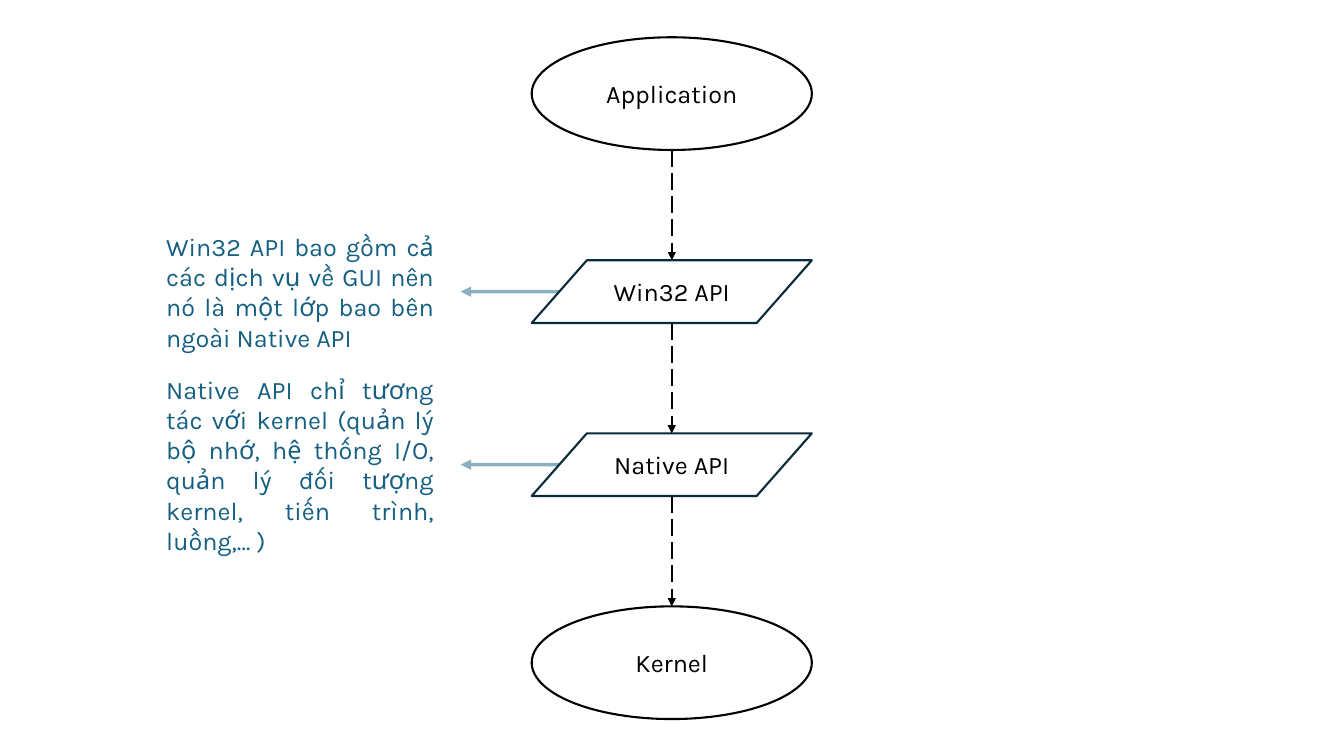
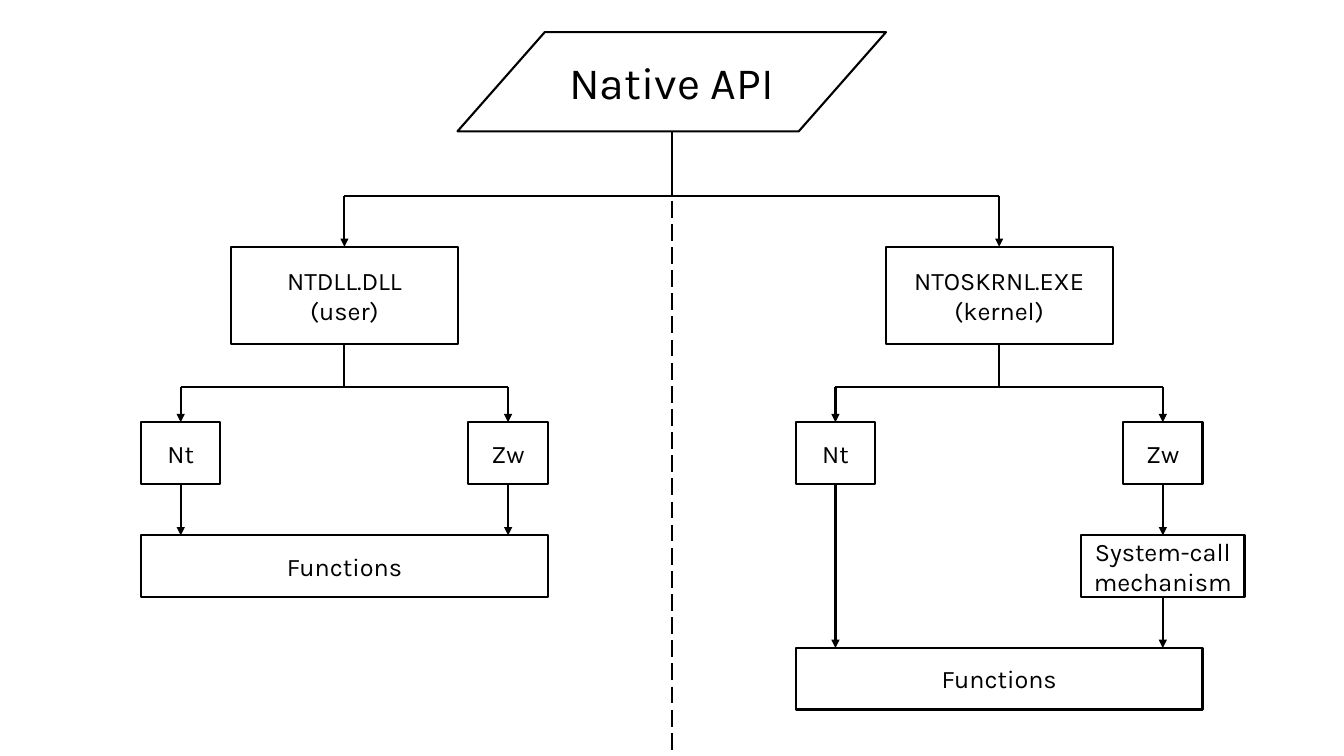
"""Draw two diagrams of the API layers between an application and the kernel."""
from dataclasses import dataclass
from itertools import pairwise
from typing import Optional

from lxml.etree import SubElement
from pptx import Presentation
from pptx.dml.color import RGBColor
from pptx.enum.dml import MSO_LINE_DASH_STYLE as Dash
from pptx.enum.shapes import MSO_CONNECTOR as Connector, MSO_SHAPE as Preset
from pptx.enum.text import MSO_ANCHOR as Anchor, MSO_AUTO_SIZE as AutoSize, PP_ALIGN as Align
from pptx.oxml.ns import qn
from pptx.slide import Slide
from pptx.text.text import TextFrame
from pptx.util import Cm, Pt


@dataclass(frozen=True)
class Theme:
    font: str = "Karla"
    ink: RGBColor = RGBColor(0x00, 0x00, 0x00)
    paper: RGBColor = RGBColor(0xFF, 0xFF, 0xFF)
    navy: RGBColor = RGBColor(0x09, 0x2A, 0x39)
    accent: RGBColor = RGBColor(0x15, 0x60, 0x82)
    body_size: float = 18
    title_size: float = 32
    line: float = 1.5
    note_line: float = 2.5
    note_opacity: int = 50000
    slant: float = 0.88


@dataclass(frozen=True)
class Node:
    text: str
    centre: float
    top: float
    width: float
    height: float
    preset: Preset = Preset.RECTANGLE
    outline: Optional[RGBColor] = None
    size: Optional[float] = None

    @property
    def bottom(self) -> float:
        return self.top + self.height

    @property
    def middle(self) -> float:
        return self.top + self.height / 2


@dataclass(frozen=True)
class Layer:
    text: str
    preset: Preset
    height: float
    outline: RGBColor
    note: str = ""
    note_height: float = 0


@dataclass(frozen=True)
class Branch:
    text: str
    centre: float
    functions_top: float


THEME = Theme()
PAGE_WIDTH, PAGE_HEIGHT = 33.87, 19.05
CENTRE = 16.93

LAYERS = (
    Layer("Application", Preset.OVAL, 2.84, THEME.ink),
    Layer("Win32 API", Preset.PARALLELOGRAM, 1.58, THEME.navy,
          "Win32 API bao gồm cả các dịch vụ về GUI nên nó là một lớp bao bên ngoài Native API", 3.33),
    Layer("Native API", Preset.PARALLELOGRAM, 1.58, THEME.navy,
          "Native API chỉ tương tác với kernel (quản lý bộ nhớ, hệ thống I/O, "
          "quản lý đối tượng kernel, tiến trình, luồng,… )", 4.11),
    Layer("Kernel", Preset.OVAL, 2.84, THEME.ink),
)
LAYER_TOP, LAYER_GAP, LAYER_WIDTH = 0.94, 2.78, 7.06
NOTE_LEFT, NOTE_WIDTH = 3.94, 7.24
NOTE_ARROW = (14.35, 11.61)

BRANCH_OFFSET = 8.25
PREFIX_OFFSET = BRANCH_OFFSET / 2
PREFIX_WIDTH, ROW_HEIGHT = 2.0, 1.55
PREFIX_TOP, FIRST_ROW, SECOND_ROW = 10.64, 13.49, 16.33
BRANCHES = (
    Branch("NTDLL.DLL\n(user)", CENTRE - BRANCH_OFFSET, FIRST_ROW),
    Branch("NTOSKRNL.EXE\n(kernel)", CENTRE + BRANCH_OFFSET, SECOND_ROW),
)


def write(frame: TextFrame, text: str, align: Align, color: RGBColor, size: float) -> None:
    frame.word_wrap = True
    frame.vertical_anchor = Anchor.MIDDLE
    for index, words in enumerate(text.split("\n")):
        para = frame.add_paragraph() if index else frame.paragraphs[0]
        para.text = words
        para.alignment = align
        para.font.name = THEME.font
        para.font.size = Pt(size)
        para.font.color.rgb = color


def draw_node(page: Slide, node: Node) -> None:
    box = page.shapes.add_shape(node.preset, Cm(node.centre - node.width / 2), Cm(node.top),
                                Cm(node.width), Cm(node.height))
    box.shadow.inherit = False
    box.fill.solid()
    box.fill.fore_color.rgb = THEME.paper
    box.line.color.rgb = node.outline or THEME.ink
    box.line.width = Pt(THEME.line)
    if node.preset == Preset.PARALLELOGRAM:
        box.adjustments[0] = THEME.slant
    write(box.text_frame, node.text, Align.CENTER, THEME.ink, node.size or THEME.body_size)


def draw_line(page: Slide, start: tuple[float, float], end: tuple[float, float], *,
              arrow: bool = False, dashed: bool = False, faded: bool = False) -> None:
    link = page.shapes.add_connector(Connector.STRAIGHT, *map(Cm, start + end))
    link.line.color.rgb = THEME.accent if faded else THEME.ink
    link.line.width = Pt(THEME.note_line if faded else THEME.line)
    if dashed:
        link.line.dash_style = Dash.LONG_DASH
    properties = link.element.spPr
    outline = properties.find(qn("a:ln"))
    if faded:
        color = outline.find(f".//{qn('a:srgbClr')}")
        SubElement(color, qn("a:alpha")).set("val", str(THEME.note_opacity))
    if arrow:
        SubElement(outline, qn("a:tailEnd")).set("type", "triangle")
    SubElement(properties, qn("a:effectLst"))


def draw_drop(page: Slide, x: float, top: float, bottom: float, dashed: bool = False) -> None:
    draw_line(page, (x, top), (x, bottom), arrow=True, dashed=dashed)


def draw_fork(page: Slide, centre: float, spread: float, top: float, bar: float, bottom: float) -> None:
    left, right = centre - spread, centre + spread
    draw_line(page, (centre, top), (centre, bar))
    draw_line(page, (left, bar), (right, bar))
    for x in (left, right):
        draw_drop(page, x, bar, bottom)


def draw_note(page: Slide, layer: Layer, middle: float) -> None:
    start, end = NOTE_ARROW
    draw_line(page, (start, middle), (end, middle), arrow=True, faded=True)
    box = page.shapes.add_textbox(Cm(NOTE_LEFT), Cm(middle - layer.note_height / 2),
                                  Cm(NOTE_WIDTH), Cm(layer.note_height))
    write(box.text_frame, layer.note, Align.JUSTIFY, THEME.accent, THEME.body_size)
    box.text_frame.auto_size = AutoSize.SHAPE_TO_FIT_TEXT


def draw_layers(page: Slide) -> None:
    nodes: list[Node] = []
    top = LAYER_TOP
    for layer in LAYERS:
        node = Node(layer.text, CENTRE, top, LAYER_WIDTH, layer.height, layer.preset, layer.outline)
        if layer.note:
            draw_note(page, layer, node.middle)
        draw_node(page, node)
        nodes.append(node)
        top = node.bottom + LAYER_GAP
    for upper, lower in pairwise(nodes):
        draw_drop(page, CENTRE, upper.bottom, lower.top, dashed=True)


def draw_branch(page: Slide, branch: Branch) -> None:
    module = Node(branch.text, branch.centre, 6.22, 5.72, 2.44)
    left, right = branch.centre - PREFIX_OFFSET, branch.centre + PREFIX_OFFSET
    prefixes = [Node(text, x, PREFIX_TOP, PREFIX_WIDTH, ROW_HEIGHT)
                for text, x in (("Nt", left), ("Zw", right))]
    functions = Node("Functions", branch.centre, branch.functions_top,
                     2 * PREFIX_OFFSET + PREFIX_WIDTH, ROW_HEIGHT)
    draw_fork(page, branch.centre, PREFIX_OFFSET, module.bottom, 9.75, PREFIX_TOP)
    for node in (module, *prefixes, functions):
        draw_node(page, node)
    draw_drop(page, left, prefixes[0].bottom, functions.top)
    steps = [prefixes[1], functions]
    if functions.top > FIRST_ROW:
        gate = Node("System-call mechanism", right, FIRST_ROW, 4.12, ROW_HEIGHT)
        draw_node(page, gate)
        steps.insert(1, gate)
    for upper, lower in pairwise(steps):
        draw_drop(page, right, upper.bottom, lower.top)


def draw_tree(page: Slide) -> None:
    root = Node("Native API", CENTRE, 0.81, 10.8, 2.5, Preset.PARALLELOGRAM, size=THEME.title_size)
    draw_node(page, root)
    draw_fork(page, CENTRE, BRANCH_OFFSET, root.bottom, 4.93, 6.22)
    draw_line(page, (CENTRE, root.bottom), (CENTRE, PAGE_HEIGHT), dashed=True)
    for branch in BRANCHES:
        draw_branch(page, branch)


def main() -> None:
    deck = Presentation()
    deck.slide_width, deck.slide_height = Cm(PAGE_WIDTH), Cm(PAGE_HEIGHT)
    for draw in (draw_layers, draw_tree):
        draw(deck.slides.add_slide(deck.slide_layouts[6]))
    deck.save("out.pptx")


if __name__ == "__main__":
    main()
